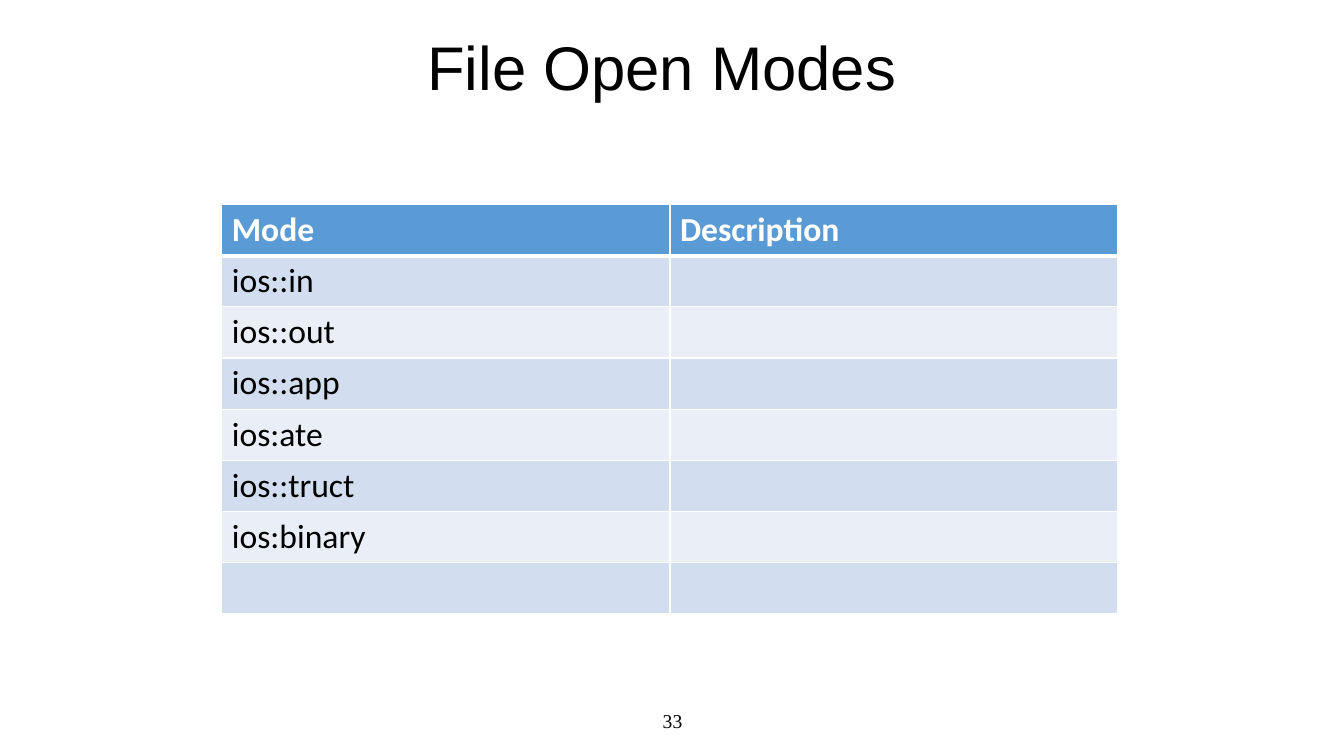
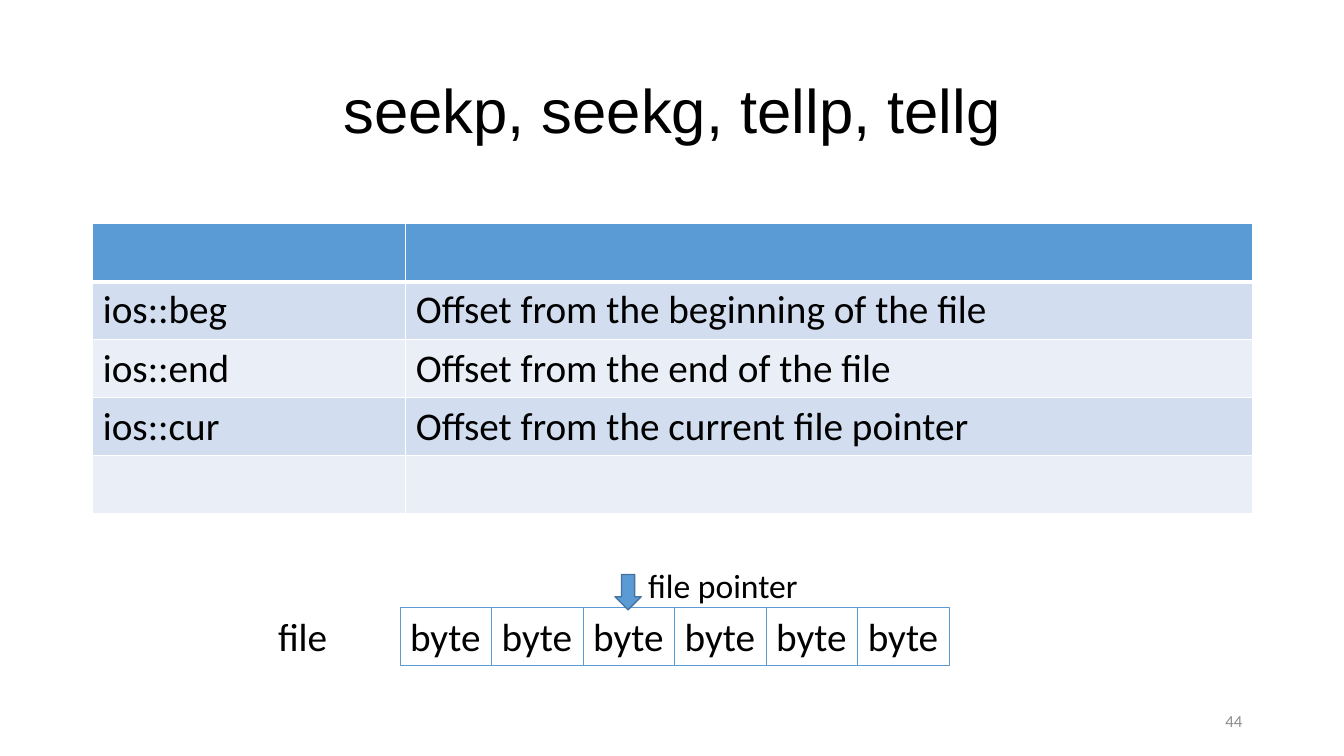
"""Build two slides on file modes and file seeking."""
from dataclasses import dataclass
from typing import NamedTuple

from lxml.etree import SubElement as Sub
from pptx import Presentation
from pptx.dml.color import RGBColor as Rgb
from pptx.enum.shapes import MSO_SHAPE as Form
from pptx.enum.text import MSO_ANCHOR as Anchor, MSO_AUTO_SIZE as Fit, PP_ALIGN as Align
from pptx.oxml.ns import qn
from pptx.util import Inches, Pt

WIDE, HIGH = Inches(13.33), Inches(7.5)


@dataclass(frozen=True)
class Theme:
    blue: str = "5B9BD5"
    edge: str = "43739E"
    bands: tuple[str, str] = ("D2DEEF", "EAEFF7")
    ink: str = "000000"
    white: str = "FFFFFF"
    gray: str = "8C8C8C"
    head: str = "Arial"
    body: str = "Calibri"
    serif: str = "Times New Roman"
    title: int = 44
    large: int = 28
    mid: int = 24
    page: int = 14
    small: int = 12
    thin: float = 0.75
    rule: int = 1
    thick: int = 3


LOOK = Theme()


class Box(NamedTuple):
    """Place and size in percent of the slide."""
    x: float
    y: float
    w: float
    h: float

    def frame(self) -> tuple[int, int, int, int]:
        return (round(WIDE * self.x / 100), round(HIGH * self.y / 100),
                round(WIDE * self.w / 100), round(HIGH * self.h / 100))


class Type(NamedTuple):
    size: int
    font: str = LOOK.body
    ink: str = LOOK.ink
    bold: bool = False


class Label(NamedTuple):
    text: str
    box: Box
    type: Type
    align: Align = Align.LEFT
    anchor: Anchor = Anchor.TOP
    grow: bool = False
    wrap: bool = True
    line: str = ""
    space: float = 1.0


class Grid(NamedTuple):
    box: Box
    split: float
    size: int
    rows: tuple[tuple[str, str], ...]


def write(para, text: str, kind: Type) -> None:
    run = para.add_run()
    run.text = text
    font = run.font
    font.size, font.name, font.bold = Pt(kind.size), kind.font, kind.bold
    font.color.rgb = Rgb.from_string(kind.ink)


def put_label(slide, label: Label) -> None:
    shape = slide.shapes.add_textbox(*label.box.frame())
    frame = shape.text_frame
    frame.word_wrap = label.wrap
    frame.auto_size = Fit.SHAPE_TO_FIT_TEXT if label.grow else Fit.NONE
    frame.vertical_anchor = label.anchor
    if label.line:
        shape.line.color.rgb = Rgb.from_string(label.line)
        shape.line.width = Pt(LOOK.thin)
    para = frame.paragraphs[0]
    para.alignment, para.line_spacing = label.align, label.space
    write(para, label.text, label.type)


def put_title(slide, text: str, box: Box) -> None:
    put_label(slide, Label(text, box, Type(LOOK.title, LOOK.head), Align.CENTER,
                           Anchor.MIDDLE, space=0.9))


def put_page(slide, text: str, box: Box, kind: Type, align: Align) -> None:
    put_label(slide, Label(text, box, kind, align, Anchor.MIDDLE))


def rule_cell(cell, row: int) -> None:
    """Draw white cell borders, thick below the header."""
    props = cell._tc.get_or_add_tcPr()
    for side in "LRTB":
        thick = (row, side) in ((0, "B"), (1, "T"))
        width = Pt(LOOK.thick if thick else LOOK.rule)
        line = Sub(props, qn(f"a:ln{side}"), w=str(width))
        Sub(Sub(line, qn("a:solidFill")), qn("a:srgbClr"), val=LOOK.white)


def put_grid(slide, grid: Grid) -> None:
    left, top, width, height = grid.box.frame()
    count = len(grid.rows)
    table = slide.shapes.add_table(count, 2, left, top, width, height).table
    table.horz_banding = False
    table.columns[0].width = first = round(width * grid.split)
    table.columns[1].width = width - first
    for r, texts in enumerate(grid.rows):
        table.rows[r].height = round(height / count)
        kind = Type(grid.size, ink=LOOK.ink if r else LOOK.white, bold=r == 0)
        for c, text in enumerate(texts):
            cell = table.cell(r, c)
            rule_cell(cell, r)
            cell.fill.solid()
            cell.fill.fore_color.rgb = Rgb.from_string(
                LOOK.bands[(r - 1) % 2] if r else LOOK.blue)
            if text:
                write(cell.text_frame.paragraphs[0], text, kind)


def put_arrow(slide, box: Box) -> None:
    arrow = slide.shapes.add_shape(Form.DOWN_ARROW, *box.frame())
    arrow.shadow.inherit = False
    arrow.fill.solid()
    arrow.fill.fore_color.rgb = Rgb.from_string(LOOK.blue)
    arrow.line.color.rgb = Rgb.from_string(LOOK.edge)
    arrow.line.width = Pt(LOOK.rule)


def draw_modes(slide) -> None:
    put_page(slide, "33", Box(33.16, 92.67, 33.76, 5.33),
             Type(LOOK.page, LOOK.serif), Align.CENTER)
    put_title(slide, "File Open Modes ", Box(-0.3, 3.87, 100.38, 10.8))
    modes = ("ios::in", "ios::out", "ios::app", "ios:ate", "ios::truct", "ios:binary", "")
    put_grid(slide, Grid(Box(16.5, 27.07, 66.69, 53.87), 0.5, LOOK.mid,
                         (("Mode", "Description"), *((mode, "") for mode in modes))))


def draw_seek(slide) -> None:
    put_title(slide, "seekp, seekg, tellp, tellg", Box(6.9, 5.33, 86.27, 19.33))
    put_grid(slide, Grid(Box(6.9, 29.6, 86.27, 38.27), 0.27, LOOK.large, (
        ("", ""),
        ("ios::beg", "Offset from the beginning of the file"),
        ("ios::end", "Offset from the end of the file"),
        ("ios::cur", "Offset from the current file pointer"),
        ("", ""))))
    put_page(slide, "44", Box(70.67, 92.67, 22.51, 5.33),
             Type(LOOK.small, ink=LOOK.gray), Align.RIGHT)
    top, tall, step = 80.4, 7.6, 6.81
    large = Type(LOOK.large)
    for i in range(6):
        put_label(slide, Label("byte", Box(29.78 + i * step, top, step, tall), large,
                               grow=True, wrap=False, line=LOOK.blue))
    put_label(slide, Label("file", Box(19.95, top, 5.18, tall), large,
                           grow=True, wrap=False))
    put_arrow(slide, Box(45.76, 76, 1.95, 4.67))
    put_label(slide, Label("file pointer", Box(47.49, 74, 13.88, 6.67),
                           Type(LOOK.mid), grow=True))


def main() -> None:
    deck = Presentation()
    deck.slide_width, deck.slide_height = WIDE, HIGH
    for draw in (draw_modes, draw_seek):
        draw(deck.slides.add_slide(deck.slide_layouts[6]))
    deck.save("out.pptx")


if __name__ == "__main__":
    main()
